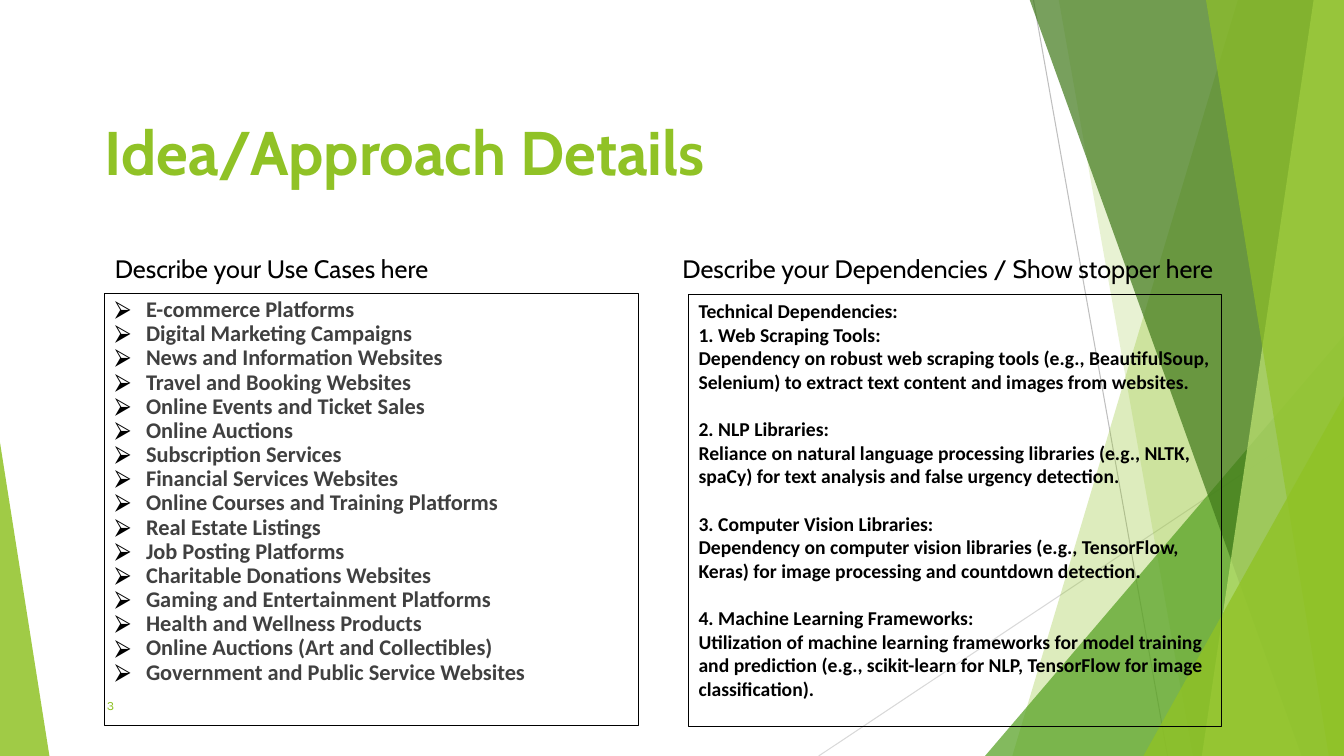
"""Build the Idea/Approach Details slide with its green shard backdrop."""
from dataclasses import dataclass

from lxml import etree
from pptx import Presentation
from pptx.dml.color import RGBColor
from pptx.enum.shapes import MSO_CONNECTOR, MSO_SHAPE
from pptx.enum.text import MSO_ANCHOR, PP_ALIGN
from pptx.oxml.ns import qn
from pptx.util import Pt

STRAIGHT = MSO_CONNECTOR.STRAIGHT
RECTANGLE, TRIANGLE = MSO_SHAPE.RECTANGLE, MSO_SHAPE.ISOSCELES_TRIANGLE
TOP, BOTTOM = MSO_ANCHOR.TOP, MSO_ANCHOR.BOTTOM
LEFT = PP_ALIGN.LEFT
PX = 9144
WIDTH, HEIGHT = 1333, 750


@dataclass(frozen=True)
class Theme:
    lime: str = "90C226"
    pale: str = "C0E474"
    leaf: str = "54A021"
    forest: str = "3F7819"
    black: str = "000000"
    gray: str = "404040"
    ray: str = "BFBFBF"
    faint_ray: str = "D9D9D9"
    heading_font: str = "Cabin"
    body_font: str = "Calibri"
    number_font: str = "Karla"
    title_size: int = 44
    label_size: int = 18
    list_size: int = 16
    detail_size: int = 14
    number_size: int = 9
    hairline: float = 0.75


theme = Theme()
deck = Presentation()
deck.slide_width, deck.slide_height = WIDTH * PX, HEIGHT * PX
page = deck.slides.add_slide(deck.slide_layouts[6])


def paint(shape, color, opacity):
    shape.shadow.inherit = False
    shape.line.fill.background()
    shape.fill.solid()
    shape.fill.fore_color.rgb = RGBColor.from_string(color)
    tint = shape.fill._xPr.find(".//" + qn("a:srgbClr"))
    etree.SubElement(tint, qn("a:alpha"), val=str(opacity * 1000))


def write(groups, area, font, size, color, bold=False, framed=False, bullet=None,
          inset=(10, 5), spacing=None, group_gap=0, anchor=TOP):
    bounds = [length * PX for length in area]
    if framed:
        box = page.shapes.add_shape(RECTANGLE, *bounds)
        box.shadow.inherit = False
        box.fill.background()
        box.line.color.rgb = RGBColor.from_string(theme.black)
        box.line.width = Pt(theme.hairline)
    else:
        box = page.shapes.add_textbox(*bounds)
    frame = box.text_frame
    frame.word_wrap = True
    frame.vertical_anchor = anchor
    frame.margin_left = frame.margin_right = inset[0] * PX
    frame.margin_top = frame.margin_bottom = inset[1] * PX
    lines = [(line, index > 0 and position == 0)
             for index, group in enumerate(groups) for position, line in enumerate(group)]
    for number, (line, opens_group) in enumerate(lines):
        para = frame.add_paragraph() if number else frame.paragraphs[0]
        para.alignment = LEFT
        para.line_spacing = spacing
        para.space_before = Pt(group_gap if opens_group else 0)
        span = para.add_run()
        span.text = line
        span.font.name, span.font.size, span.font.bold = font, Pt(size), bold
        span.font.color.rgb = RGBColor.from_string(color)
        if bullet:
            props = para._p.get_or_add_pPr()
            props.set("marL", str(31 * PX))
            props.set("indent", str(-31 * PX))
            bullet_color = etree.SubElement(props, qn("a:buClr"))
            etree.SubElement(bullet_color, qn("a:srgbClr"), val=theme.black)
            etree.SubElement(props, qn("a:buFont"), typeface=font)
            etree.SubElement(props, qn("a:buChar"), char=bullet)


rays = [((1025, 0, 1158, HEIGHT), theme.ray),
        ((WIDTH, 403, 812, HEIGHT), theme.faint_ray)]
for ends, color in rays:
    ray = page.shapes.add_connector(STRAIGHT, *[length * PX for length in ends])
    ray.line.color.rgb = RGBColor.from_string(color)
    ray.line.width = Pt(theme.hairline)
    etree.SubElement(ray._element.spPr, qn("a:effectLst"))

facets = [
    ((1228, 1004), theme.lime, 30),
    ((1050, 1183), theme.lime, 20),
    ((977, 333, 356, 1), theme.leaf, 72),
    ((1021, 1291), theme.forest, 70),
    ((1303, 1192), theme.pale, 70),
    ((1196, 1318), theme.lime, 65),
    ((1134, 393, 199, 1), theme.lime, 80),
    ((0, 439, 49, 0), theme.lime, 85),
]
for outline, color, opacity in facets:
    if len(outline) == 2:
        top_x, bottom_x = outline
        builder = page.shapes.build_freeform(top_x, -1, scale=PX)
        builder.add_line_segments([(WIDTH, -1), (WIDTH, HEIGHT), (bottom_x, HEIGHT)])
        facet = builder.convert_to_shape()
    else:
        left, top, width, apex = outline
        facet = page.shapes.add_shape(
            TRIANGLE, left * PX, top * PX, width * PX, (HEIGHT - top) * PX)
        facet.adjustments[0] = apex
    paint(facet, color, opacity)

use_cases = [
    "E-commerce Platforms",
    "Digital Marketing Campaigns",
    "News and Information Websites",
    "Travel and Booking Websites",
    "Online Events and Ticket Sales",
    "Online Auctions",
    "Subscription Services",
    "Financial Services Websites",
    "Online Courses and Training Platforms",
    "Real Estate Listings",
    "Job Posting Platforms",
    "Charitable Donations Websites",
    "Gaming and Entertainment Platforms",
    "Health and Wellness Products",
    "Online Auctions (Art and Collectibles)",
    "Government and Public Service Websites",
]
dependencies = [
    ["Technical Dependencies:",
     "1. Web Scraping Tools:",
     "Dependency on robust web scraping tools (e.g., BeautifulSoup, Selenium) "
     "to extract text content and images from websites."],
    ["2. NLP Libraries:",
     "Reliance on natural language processing libraries (e.g., NLTK, spaCy) "
     "for text analysis and false urgency detection."],
    ["3. Computer Vision Libraries:",
     "Dependency on computer vision libraries (e.g., TensorFlow, Keras) "
     "for image processing and countdown detection."],
    ["4. Machine Learning Frameworks:",
     "Utilization of machine learning frameworks for model training and prediction "
     "(e.g., scikit-learn for NLP, TensorFlow for image classification)."],
]

write([["Idea/Approach Details"]], (104, 120, 632, 67), theme.heading_font,
      theme.title_size, theme.lime, bold=True, inset=(0, 0), spacing=0.9, anchor=BOTTOM)
write([use_cases], (104, 291, 529, 429), theme.body_font, theme.list_size, theme.gray,
      bold=True, framed=True, bullet="⮚", spacing=0.9)
labels = [("Describe your Use Cases here", 104, 529),
          ("Describe your Dependencies / Show stopper here", 667, 562)]
for label, left, width in labels:
    write([[label]], (left, 250, width, 35), theme.heading_font, theme.label_size,
          theme.black, spacing=0.9)
write([["3"]], (106, 692, 57, 27), theme.number_font, theme.number_size, theme.lime,
      inset=(0, 0))
write(dependencies, (683, 292, 529, 429), theme.body_font, theme.detail_size, theme.black,
      bold=True, framed=True, group_gap=17)

deck.save("out.pptx")
